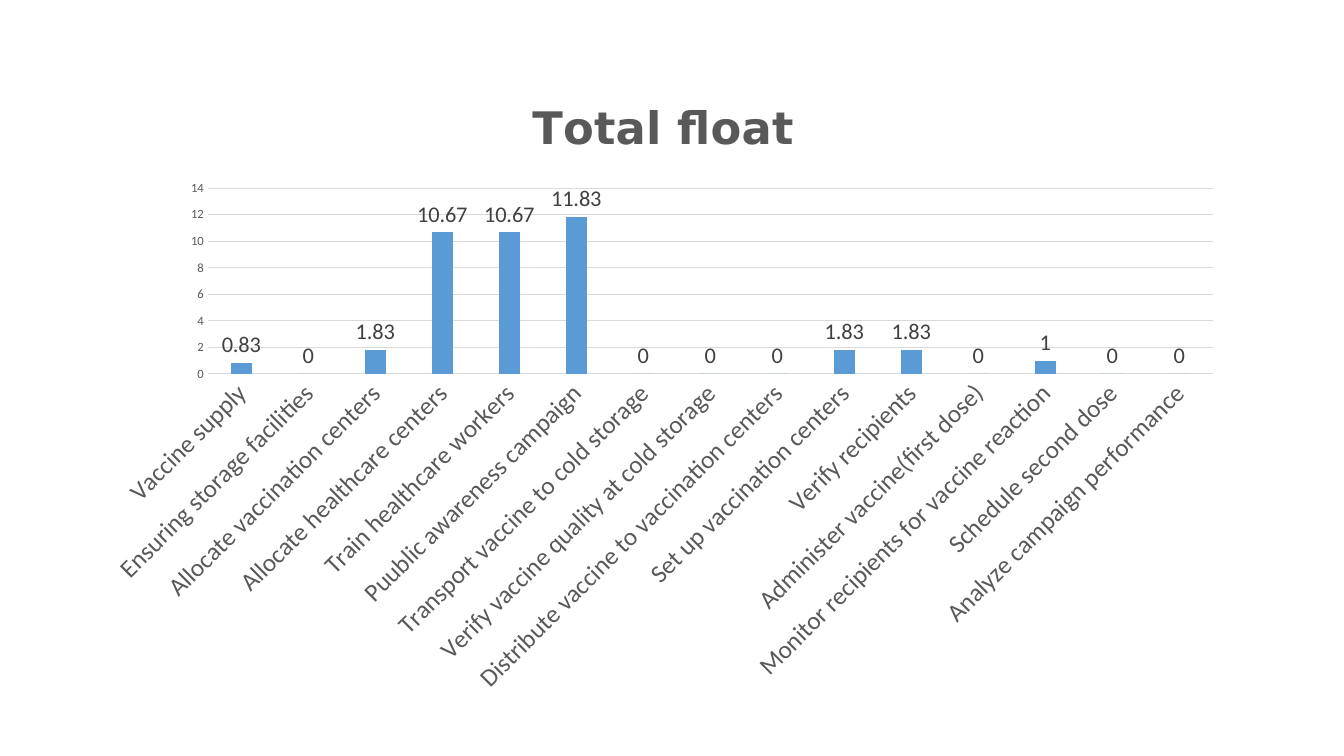
"""Build a slide with a column chart of the total float of each campaign task."""
from pptx import Presentation
from pptx.chart.data import CategoryChartData
from pptx.dml.color import RGBColor
from pptx.enum.chart import XL_CHART_TYPE, XL_LABEL_POSITION, XL_TICK_MARK
from pptx.util import Cm, Pt

COLUMNS = XL_CHART_TYPE.COLUMN_CLUSTERED
OUTSIDE_END = XL_LABEL_POSITION.OUTSIDE_END
NO_TICK = XL_TICK_MARK.NONE

TITLE = "Total float"
FLOATS = {
    "Vaccine supply": 0.83,
    "Ensuring storage facilities": 0,
    "Allocate vaccination centers": 1.83,
    "Allocate healthcare centers": 10.67,
    "Train healthcare workers": 10.67,
    "Puublic awareness campaign": 11.83,
    "Transport vaccine to cold storage": 0,
    "Verify vaccine quality at cold storage": 0,
    "Distribute vaccine to vaccination centers": 0,
    "Set up vaccination centers": 1.83,
    "Verify recipients": 1.83,
    "Administer vaccine(first dose)": 0,
    "Monitor recipients for vaccine reaction": 1,
    "Schedule second dose": 0,
    "Analyze campaign performance": 0,
}
COLORS = {"text": "595959", "label": "404040", "grid": "D9D9D9", "bar": "5B9BD5",
          "base": "000000"}
BODY_FONT = "Calibri"
TITLE_FONT = "DejaVu Sans"
LABEL_ANGLE = -45


def color(key):
    return RGBColor.from_string(COLORS[key])


def style_font(font, size, key="text", name=BODY_FONT, bold=False):
    font.size = Pt(size)
    font.name = name
    font.bold = bold
    font.color.rgb = color(key)


def write_text(frame, text, **text_format):
    frame.text = text
    style_font(frame.paragraphs[0].runs[0].font, **text_format)


def style_line(line):
    line.color.rgb = color("grid")
    line.width = Pt(0.75)


def style_axis(axis, size):
    axis.major_tick_mark = axis.minor_tick_mark = NO_TICK
    style_font(axis.tick_labels.font, size)


def add_float_chart(slide):
    float_data = CategoryChartData()
    float_data.categories = list(FLOATS)
    float_data.add_series("Series 1", list(FLOATS.values()))
    chart = slide.shapes.add_chart(
        COLUMNS, Cm(2.29), Cm(1.78), Cm(28.85), Cm(16), float_data).chart
    style_font(chart.font, 10, "base")
    chart.has_legend = False
    chart.has_title = True
    write_text(chart.chart_title.text_frame, TITLE, size=32, name=TITLE_FONT, bold=True)
    chart.chart_title.include_in_layout = False

    tasks = chart.category_axis
    style_axis(tasks, 18)
    style_line(tasks.format.line)
    tasks._element.txPr.bodyPr.set("rot", str(LABEL_ANGLE * 60000))

    days = chart.value_axis
    style_axis(days, 9)
    days.format.line.fill.background()
    style_line(days.major_gridlines.format.line)

    plot = chart.plots[0]
    plot.gap_width = 219
    plot.overlap = -27
    plot.vary_by_categories = False
    bars = plot.series[0]
    bars.format.fill.solid()
    bars.format.fill.fore_color.rgb = color("bar")
    labels = bars.data_labels
    labels.show_value = True
    labels.position = OUTSIDE_END
    style_font(labels.font, 16, "label")


def main():
    deck = Presentation()
    deck.slide_width, deck.slide_height = Cm(33.87), Cm(19.05)
    add_float_chart(deck.slides.add_slide(deck.slide_layouts[6]))
    deck.save("out.pptx")


if __name__ == "__main__":
    main()
